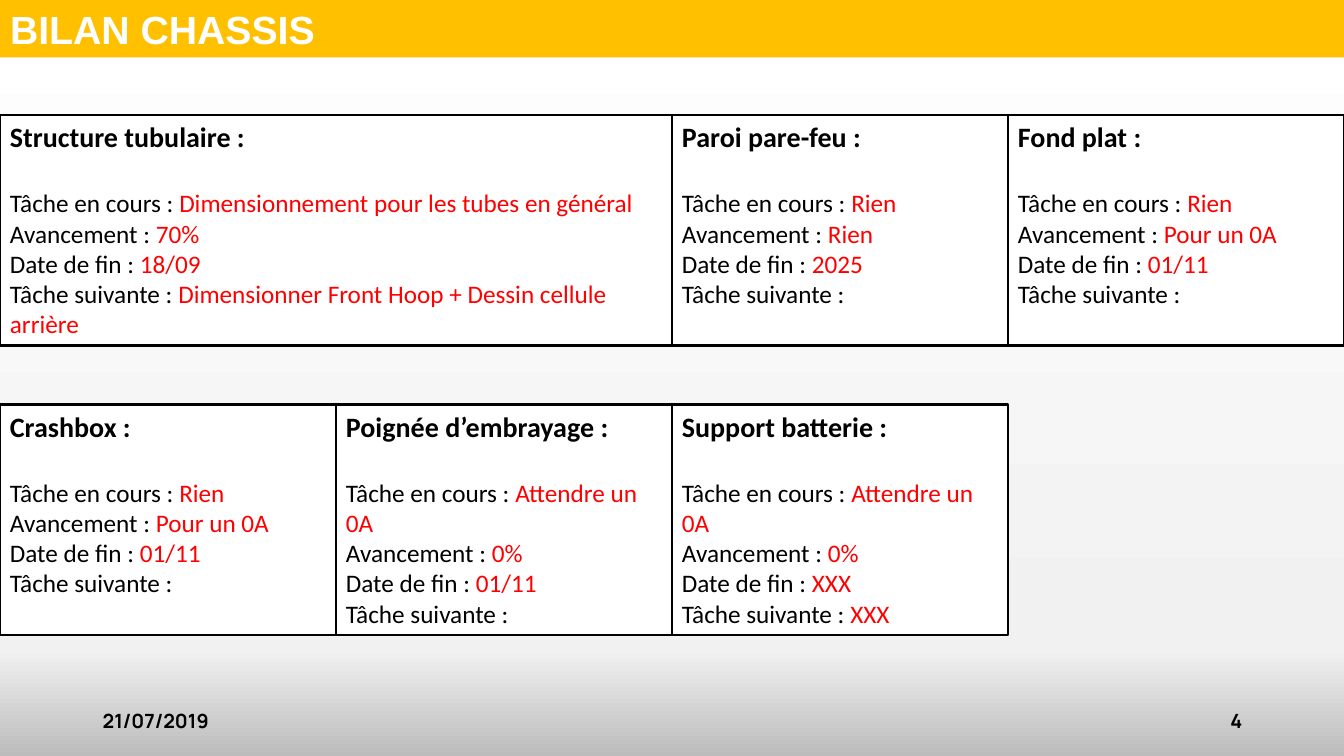
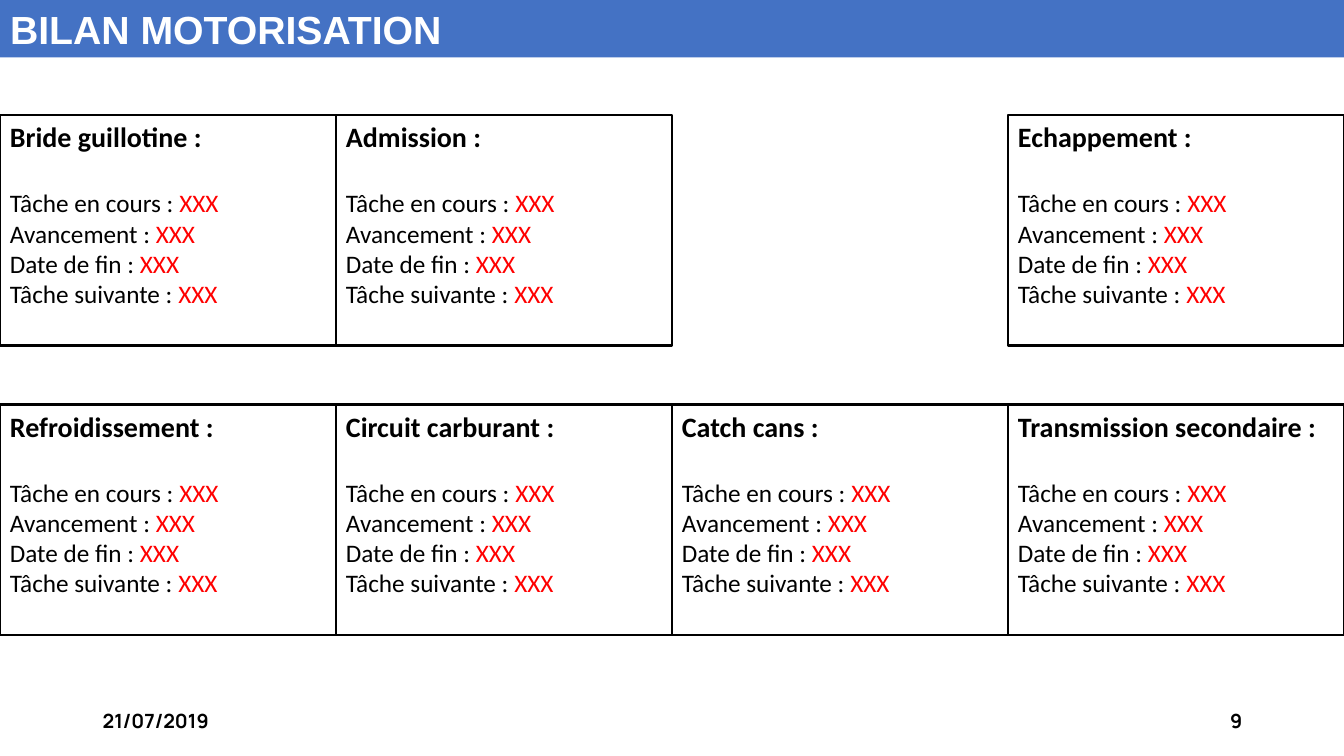
from copy import deepcopy

from pptx import Presentation
from pptx.dml.color import RGBColor
from pptx.enum.shapes import MSO_SHAPE
from pptx.enum.text import MSO_ANCHOR, MSO_AUTO_SIZE, PP_ALIGN
from pptx.oxml.ns import qn
from pptx.util import Inches, Pt

COLORS = {
    "text": "000000",
    "value": "FF0000",
    "white": "FFFFFF",
    "chassis": "FFC000",
    "motor": "4472C4",
}
FADE = [(0, "FFFFFF"), (0.86, "F1F1F1"), (1, "BDBCBD")]
LABELS = ["Tâche en cours", "Avancement", "Date de fin", "Tâche suivante"]
DATE = "21/07/2019"
COL = 13.33 / 4
ROWS = [1.14, 4.01]
HIGH = 2.29
TODO = ["XXX"] * 4

# Each card: row, column, columns spanned, heading, one value per label
SLIDES = [
    {
        "title": "BILAN CHASSIS", "band": "chassis", "page": "4", "fade": True,
        "cards": [
            (0, 0, 2, "Structure tubulaire",
             ["Dimensionnement pour les tubes en général", "70%", "18/09",
              "Dimensionner Front Hoop + Dessin cellule arrière"]),
            (0, 2, 1, "Paroi pare-feu", ["Rien", "Rien", "2025", ""]),
            (0, 3, 1, "Fond plat", ["Rien", "Pour un 0A", "01/11", ""]),
            (1, 0, 1, "Crashbox", ["Rien", "Pour un 0A", "01/11", ""]),
            (1, 1, 1, "Poignée d’embrayage",
             ["Attendre un 0A", "0%", "01/11", ""]),
            (1, 2, 1, "Support batterie",
             ["Attendre un 0A", "0%", "XXX", "XXX"]),
        ],
    },
    {
        "title": "BILAN MOTORISATION", "band": "motor", "page": "9", "fade": False,
        "cards": [
            (0, 0, 1, "Bride guillotine", TODO),
            (0, 1, 1, "Admission", TODO),
            (0, 3, 1, "Echappement", TODO),
            (1, 0, 1, "Refroidissement", TODO),
            (1, 1, 1, "Circuit carburant", TODO),
            (1, 2, 1, "Catch cans", TODO),
            (1, 3, 1, "Transmission secondaire", TODO),
        ],
    },
]


def color(name):
    return RGBColor.from_string(COLORS[name])


def style(run, size, face="Calibri", tint="text", bold=False):
    font = run.font
    font.size, font.name, font.bold = Pt(size), face, bold
    font.color.rgb = color(tint)


prs = Presentation()
prs.slide_width, prs.slide_height = Inches(13.33), Inches(7.5)

for data in SLIDES:
    slide = prs.slides.add_slide(prs.slide_layouts[5])

    # Background
    back = slide.background.fill
    if data["fade"]:
        back.gradient()
        back.gradient_angle = 270
        stops = slide.element.find(".//" + qn("a:gsLst"))
        stops.append(deepcopy(stops[-1]))
        for stop, (place, tint) in zip(back.gradient_stops, FADE):
            stop.position = place
            stop.color.rgb = RGBColor.from_string(tint)
    else:
        back.solid()
        back.fore_color.rgb = color("white")

    # Title band
    title = slide.shapes.title
    title.left, title.top = Inches(0), Inches(0)
    title.width, title.height = prs.slide_width, Inches(0.57)
    title.fill.solid()
    title.fill.fore_color.rgb = color(data["band"])
    frame = title.text_frame
    frame.text = data["title"]
    frame.auto_size = MSO_AUTO_SIZE.NONE
    frame.vertical_anchor = MSO_ANCHOR.TOP
    frame.paragraphs[0].alignment = PP_ALIGN.LEFT
    style(frame.paragraphs[0].runs[0], 28, "Arial", "white", True)

    # Status cards
    for row, col, span, head, values in data["cards"]:
        card = slide.shapes.add_shape(
            MSO_SHAPE.RECTANGLE, Inches(col * COL), Inches(ROWS[row]),
            Inches(span * COL), Inches(HIGH))
        card.shadow.inherit = False
        card.fill.solid()
        card.fill.fore_color.rgb = color("white")
        card.line.color.rgb = color("text")
        card.line.width = Pt(2)
        frame = card.text_frame
        frame.word_wrap = True
        frame.vertical_anchor = MSO_ANCHOR.TOP
        frame.text = f"{head} :"
        style(frame.paragraphs[0].runs[0], 20, bold=True)
        for label, value in zip(LABELS, values):
            para = frame.add_paragraph()
            para.text = f"{label} : " if value else f"{label} :"
            style(para.runs[0], 18)
            if value:
                run = para.add_run()
                run.text = value
                style(run, 18, tint="value")
        frame.paragraphs[1].space_before = Pt(24.4)
        for para in frame.paragraphs:
            para.alignment = PP_ALIGN.LEFT

    # Footer
    for left, text, align in [(0.92, DATE, PP_ALIGN.LEFT),
                              (9.42, data["page"], PP_ALIGN.RIGHT)]:
        box = slide.shapes.add_textbox(
            Inches(left), Inches(6.95), Inches(3), Inches(0.4))
        frame = box.text_frame
        frame.word_wrap = True
        frame.vertical_anchor = MSO_ANCHOR.MIDDLE
        frame.text = text
        frame.paragraphs[0].alignment = align
        style(frame.paragraphs[0].runs[0], 14, "Manrope", bold=True)

prs.save("out.pptx")
